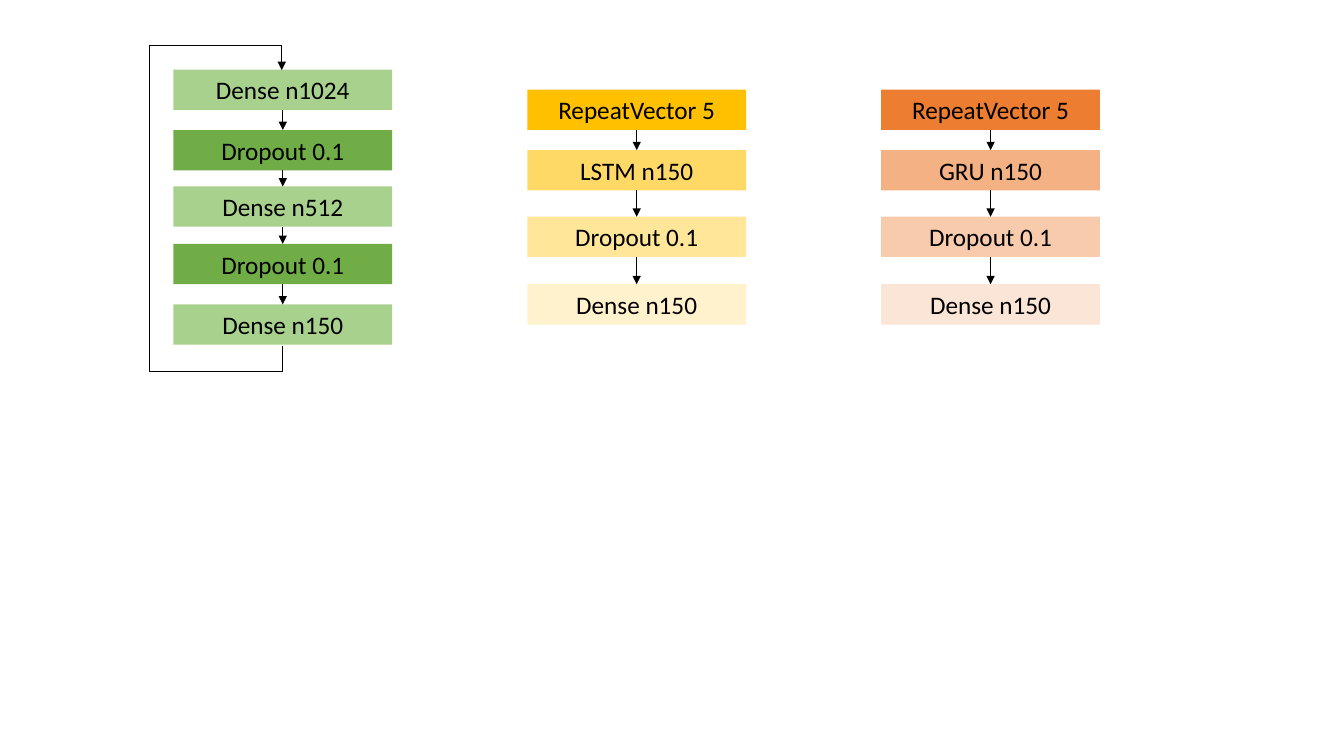
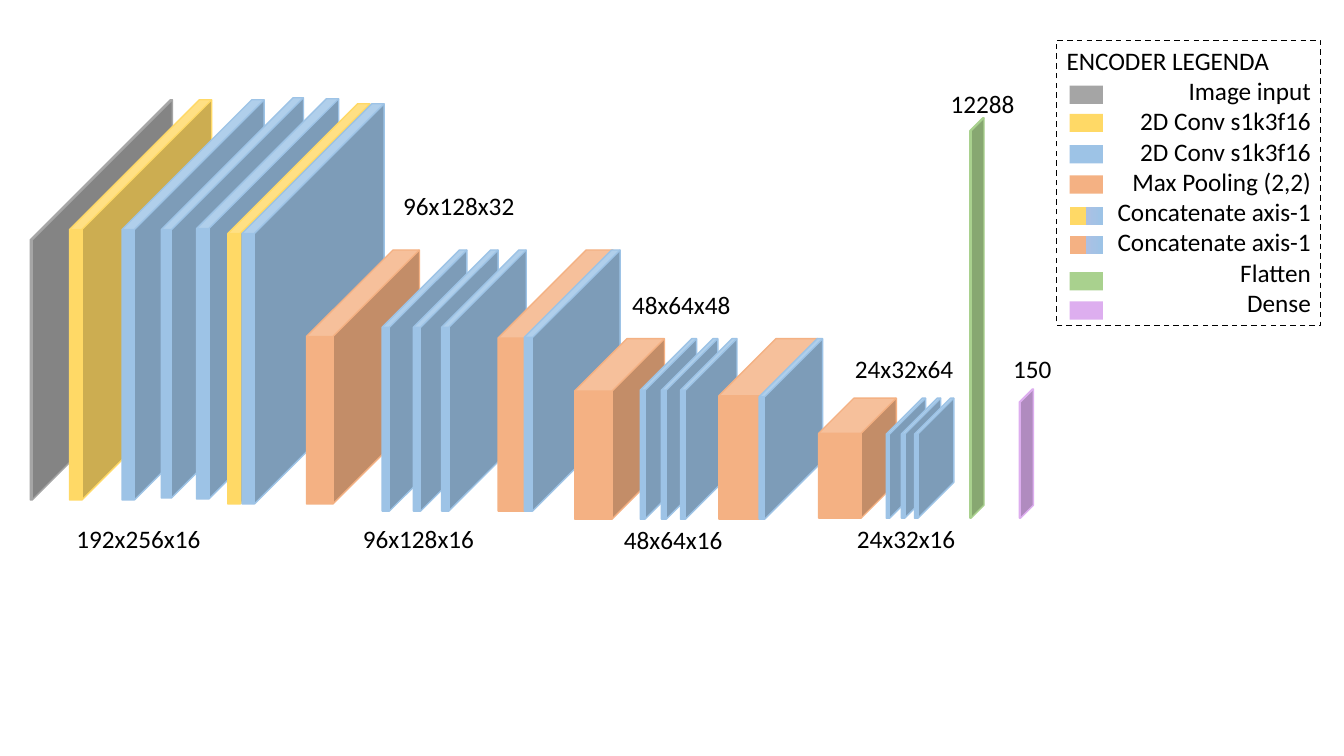
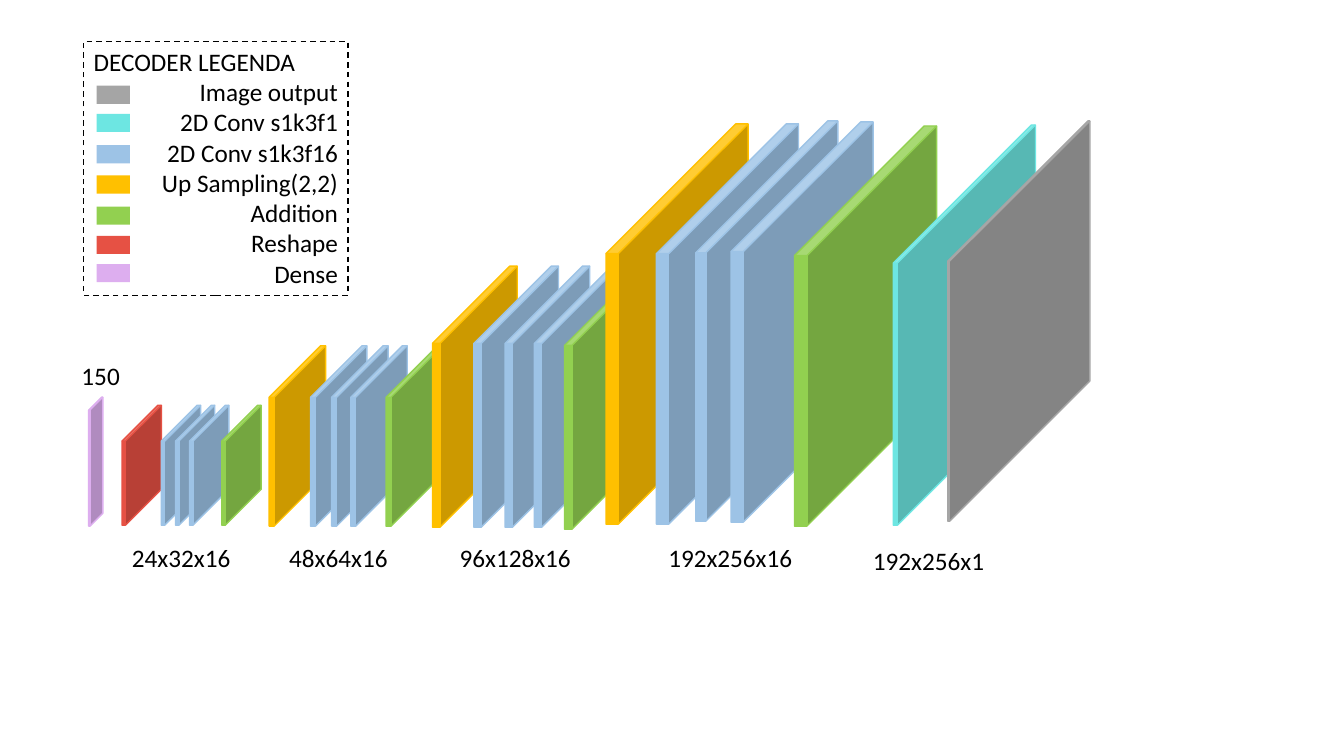
from lxml import etree
from pptx import Presentation
from pptx.dml.color import RGBColor
from pptx.enum.dml import MSO_LINE
from pptx.enum.shapes import MSO_CONNECTOR, MSO_SHAPE
from pptx.enum.text import MSO_ANCHOR, MSO_AUTO_SIZE, PP_ALIGN
from pptx.oxml.ns import qn
from pptx.util import Pt

PX = 9144  # 100 px to the inch
FONT = "Calibri"
RECTANGLE, CUBE = MSO_SHAPE.RECTANGLE, MSO_SHAPE.CUBE
STRAIGHT, ELBOW = MSO_CONNECTOR.STRAIGHT, MSO_CONNECTOR.ELBOW
LEFT, CENTER, RIGHT = PP_ALIGN.LEFT, PP_ALIGN.CENTER, PP_ALIGN.RIGHT
TOP, MIDDLE = MSO_ANCHOR.TOP, MSO_ANCHOR.MIDDLE
BOTTOM_SITE, TOP_SITE = 2, 0

# Colours
BLACK = RGBColor(0x00, 0x00, 0x00)
WHITE = RGBColor(0xFF, 0xFF, 0xFF)
GRAY = RGBColor(0xA5, 0xA5, 0xA5)
GREEN = RGBColor(0x70, 0xAD, 0x47)
LIGHT_GREEN = RGBColor(0xA9, 0xD1, 0x8E)
LIME = RGBColor(0x92, 0xD0, 0x50)
GOLD = RGBColor(0xFF, 0xC0, 0x00)
YELLOW = RGBColor(0xFF, 0xD9, 0x66)
LIGHT_YELLOW = RGBColor(0xFF, 0xE6, 0x99)
PALE_YELLOW = RGBColor(0xFF, 0xF2, 0xCC)
ORANGE = RGBColor(0xED, 0x7D, 0x31)
LIGHT_ORANGE = RGBColor(0xF4, 0xB1, 0x83)
PEACH = RGBColor(0xF8, 0xCB, 0xAD)
PALE_PEACH = RGBColor(0xFB, 0xE5, 0xD6)
BLUE = RGBColor(0x9D, 0xC3, 0xE6)
SOFT_BLUE = RGBColor(0xAB, 0xC0, 0xE4)
PURPLE = RGBColor(0xDD, 0xAE, 0xEF)
RED = RGBColor(0xE6, 0x51, 0x44)
TURQUOISE = RGBColor(0x6D, 0xE6, 0xE2)

# Layer sizes: width, height
FULL, HALF, QUARTER, EIGHTH = (141, 397), (84, 259), (56, 179), (39, 119)
FLAT, VECTOR = (14, 397), (14, 128)
DEPTH = 0.913


def add_block(slide, preset, left, top, width, height, fill, line=None):
    shape = slide.shapes.add_shape(preset, left * PX, top * PX, width * PX, height * PX)
    shape.shadow.inherit = False
    shape.fill.solid()
    shape.fill.fore_color.rgb = fill
    if line is None:
        shape.line.fill.background()
    else:
        shape.line.color.rgb = line
        shape.line.width = Pt(1)
    return shape


def write_text(shape, text, align=LEFT, anchor=TOP, wrap=True):
    frame = shape.text_frame
    frame.text = text
    frame.word_wrap = wrap
    frame.vertical_anchor = anchor
    for paragraph in frame.paragraphs:
        paragraph.alignment = align
        paragraph.font.name = FONT
        paragraph.font.size = Pt(18)
        paragraph.font.color.rgb = BLACK


presentation = Presentation()
presentation.slide_width, presentation.slide_height = 1333 * PX, 750 * PX
blank = presentation.slide_layouts[6]

# Layer stacks: left, then top, text and colour of each layer
stacks = [
    (172, [(69, "Dense n1024", LIGHT_GREEN), (129, "Dropout 0.1", GREEN),
           (185, "Dense n512", LIGHT_GREEN), (242, "Dropout 0.1", GREEN),
           (302, "Dense n150", LIGHT_GREEN)]),
    (523, [(89, "RepeatVector 5", GOLD), (149, "LSTM n150", YELLOW),
           (215, "Dropout 0.1", LIGHT_YELLOW), (282, "Dense n150", PALE_YELLOW)]),
    (874, [(89, "RepeatVector 5", ORANGE), (149, "GRU n150", LIGHT_ORANGE),
           (215, "Dropout 0.1", PEACH), (282, "Dense n150", PALE_PEACH)]),
]
slide = presentation.slides.add_slide(blank)
arrows = []
for left, layers in stacks:
    previous = None
    for top, text, color in layers:
        layer = add_block(slide, RECTANGLE, left, top, 217, 40, color)
        write_text(layer, text, align=CENTER, anchor=MIDDLE)
        if previous is not None:
            arrow = slide.shapes.add_connector(STRAIGHT, 0, 0, 0, 0)
            arrow.begin_connect(previous, BOTTOM_SITE)
            arrow.end_connect(layer, TOP_SITE)
            arrows.append((arrow, 1))
        previous = layer

# Feedback loop around the first stack, a five-part elbow turned by 90 degrees
loop = slide.shapes.add_connector(ELBOW, 417 * PX, 206 * PX, 143 * PX, 207 * PX)
loop.element.spPr.find(qn("a:xfrm")).set("rot", str(90 * 60000))
geometry = loop.element.spPr.find(qn("a:prstGeom"))
geometry.set("prst", "bentConnector5")
guides = geometry.find(qn("a:avLst"))
for number, value in enumerate((-0.09, 134, 1.09), start=1):
    etree.SubElement(guides, qn("a:gd"), name=f"adj{number}",
                     fmla=f"val {round(value * 100000)}")
arrows.append((loop, 0.5))

for arrow, width in arrows:
    arrow.line.color.rgb = BLACK
    arrow.line.width = Pt(width)
    properties = arrow.element.spPr
    etree.SubElement(properties.find(qn("a:ln")), qn("a:tailEnd"), type="triangle")
    etree.SubElement(properties, qn("a:effectLst"))

# Encoder: layers as colour, lefts, top, size, depth
encoder_layers = [
    (GRAY, [30], 99, FULL, 0.986),
    (YELLOW, [69], 99, FULL, DEPTH),
    (BLUE, [121], 99, FULL, DEPTH),
    (BLUE, [160], 97, FULL, 0.928),
    (BLUE, [195], 98, FULL, DEPTH),
    (YELLOW, [226], 103, FULL, DEPTH),
    (BLUE, [240], 103, FULL, DEPTH),
    (LIGHT_ORANGE, [304], 248, (112, 252), 0.766),
    (BLUE, [379, 410, 438], 248, HALF, DEPTH),
    (LIGHT_ORANGE, [494], 248, (114, 259), 0.766),
    (BLUE, [520], 248, (95, 259), DEPTH),
    (LIGHT_ORANGE, [570], 336, (89, 179), 0.583),
    (BLUE, [635, 656, 675], 336, QUARTER, DEPTH),
    (LIGHT_ORANGE, [713], 336, (98, 179), 0.578),
    (BLUE, [753], 336, (63, 179), DEPTH),
    (LIGHT_ORANGE, [812], 395, (77, 119), 0.453),
    (BLUE, [879, 894, 907], 395, EIGHTH, DEPTH),
    (LIGHT_GREEN, [962], 117, FLAT, DEPTH),
    (PURPLE, [1011], 386, VECTOR, DEPTH),
]
# Labels as left, top, width, text
encoder_labels = [
    (66, 514, 144, "192x256x16"), (390, 184, 132, "96x128x32"),
    (350, 514, 132, "96x128x16"), (617, 282, 119, "48x64x48"),
    (609, 515, 119, "48x64x16"), (838, 346, 119, "24x32x64"),
    (840, 514, 119, "24x32x16"), (933, 83, 84, "12288"), (995, 346, 59, "150"),
]
# Legend entries as swatch top, text, colours
encoder_legend = [
    (85, "Image input", [GRAY]), (113, "2D Conv s1k3f16", [YELLOW]),
    (144, "2D Conv s1k3f16", [BLUE]), (174, "Max Pooling (2,2)", [LIGHT_ORANGE]),
    (205, "Concatenate axis-1", [YELLOW, BLUE]),
    (234, "Concatenate axis-1", [LIGHT_ORANGE, BLUE]),
    (270, "Flatten", [LIGHT_GREEN]), (299, "Dense", [PURPLE]),
]

# Decoder
decoder_layers = [
    (PURPLE, [88], 394, VECTOR, DEPTH),
    (RED, [121], 402, EIGHTH, DEPTH),
    (BLUE, [160, 174, 188], 402, EIGHTH, DEPTH),
    (LIME, [220], 402, EIGHTH, DEPTH),
    (GOLD, [267], 343, QUARTER, DEPTH),
    (BLUE, [308, 329, 348], 343, QUARTER, DEPTH),
    (LIME, [383], 343, QUARTER, DEPTH),
    (GOLD, [429], 264, HALF, DEPTH),
    (BLUE, [470, 501, 530], 264, HALF, DEPTH),
    (LIME, [560], 266, HALF, DEPTH),
    (GOLD, [601], 123, FULL, DEPTH),
    (BLUE, [651], 123, FULL, DEPTH),
    (BLUE, [690], 120, FULL, 0.928),
    (BLUE, [725], 121, FULL, DEPTH),
    (LIME, [788], 125, FULL, DEPTH),
    (TURQUOISE, [886], 124, FULL, 0.971),
    (GRAY, [940], 120, FULL, 0.986),
]
decoder_labels = [
    (71, 353, 59, "150"), (121, 533, 119, "24x32x16"), (277, 533, 119, "48x64x16"),
    (446, 533, 132, "96x128x16"), (653, 533, 144, "192x256x16"),
    (856, 536, 132, "192x256x1"),
]
decoder_legend = [
    (85, "Image output", [GRAY]), (113, "2D Conv s1k3f1", [TURQUOISE]),
    (144, "2D Conv s1k3f16", [BLUE]), (174, "Up Sampling(2,2)", [GOLD]),
    (205, "Addition", [LIME]), (234, "Reshape", [RED]), (262, "Dense", [PURPLE]),
]

# Network slides; each legend box is left, top, width, height
networks = [
    (encoder_layers, encoder_labels, "ENCODER LEGENDA", (1048, 40, 262, 283), encoder_legend),
    (decoder_layers, decoder_labels, "DECODER LEGENDA", (83, 41, 262, 252), decoder_legend),
]
for layers, labels, title, legend_box, entries in networks:
    slide = presentation.slides.add_slide(blank)

    for color, lefts, top, size, depth in layers:
        for left in lefts:
            cube = add_block(slide, CUBE, left, top, *size, color, line=color)
            cube.adjustments[0] = depth

    for left, top, width, text in labels:
        label = slide.shapes.add_textbox(left * PX, top * PX, width * PX, 40 * PX)
        write_text(label, text, wrap=False)
        label.text_frame.auto_size = MSO_AUTO_SIZE.SHAPE_TO_FIT_TEXT

    # Legend
    legend = add_block(slide, RECTANGLE, *legend_box, WHITE, line=BLACK)
    legend.line.dash_style = MSO_LINE.DASH
    write_text(legend, "\n".join([title] + [text for _, text, _ in entries]), align=RIGHT)
    legend.text_frame.paragraphs[0].alignment = LEFT
    for top, _, colors in entries:
        swatch = add_block(slide, RECTANGLE, legend_box[0] + 13, top, 33, 18, colors[0])
        if len(colors) == 2:
            swatch.fill.gradient()
            swatch.fill.gradient_angle = 0
            stops = swatch.element.spPr.find(qn("a:gradFill")).find(qn("a:gsLst"))
            for stop in list(stops):
                stops.remove(stop)
            for percent, color in ((0, colors[0]), (48, colors[0]),
                                   (48, SOFT_BLUE), (100, colors[1])):
                stop = etree.SubElement(stops, qn("a:gs"), pos=str(percent * 1000))
                etree.SubElement(stop, qn("a:srgbClr"), val=str(color))

presentation.save("out.pptx")
